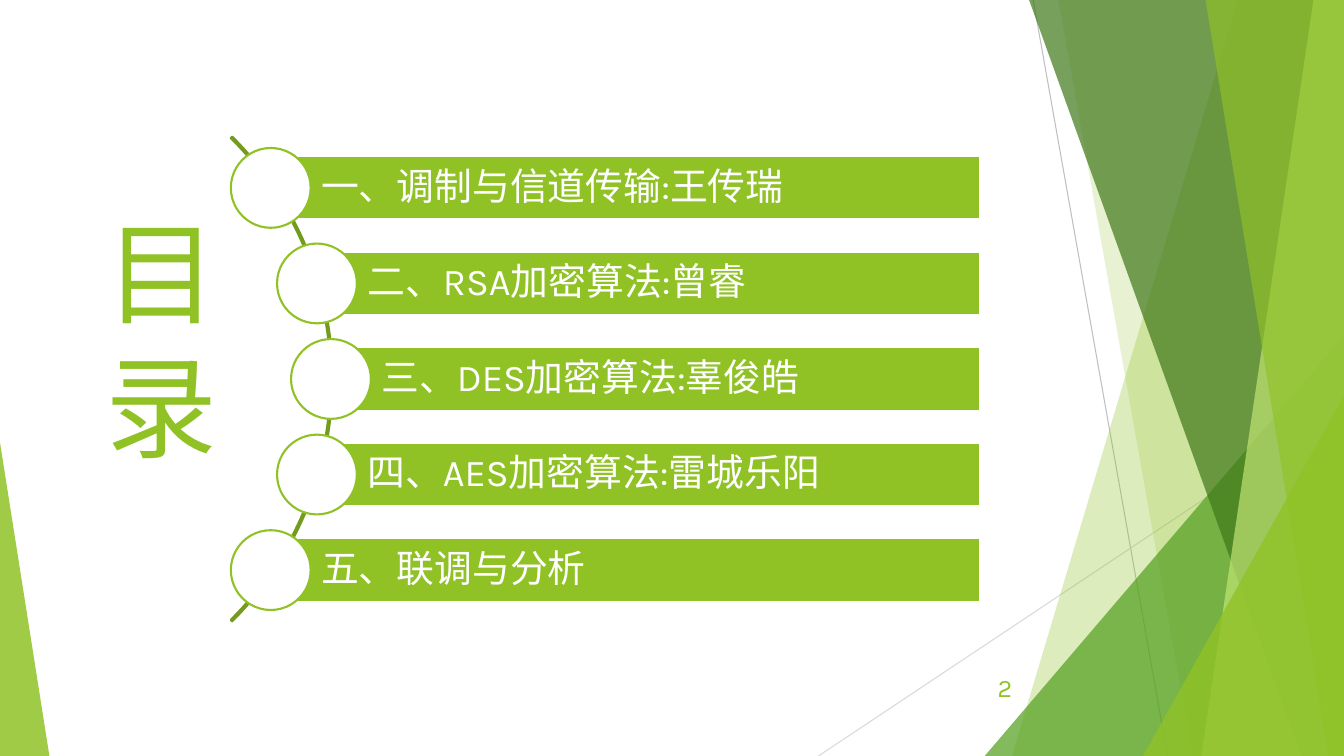
"""Build the contents slide: a curved list of five topics beside a faceted green edge."""
from lxml import etree
from pptx import Presentation
from pptx.dml.color import RGBColor
from pptx.enum.shapes import MSO_CONNECTOR, MSO_SHAPE as SHAPE
from pptx.enum.text import MSO_ANCHOR as ANCHOR, MSO_AUTO_SIZE as FIT, PP_ALIGN as ALIGN
from pptx.oxml.ns import qn
from pptx.util import Pt

WIDTH, HEIGHT = 960, 540
FONT, GREEN, WHITE = "Karla", "90C226", "FFFFFF"

TOPICS = [
    ("一、调制与信道传输:王传瑞", 193.4),
    ("二、RSA加密算法:曾睿", 226.4),
    ("三、DES加密算法:辜俊皓", 236.4),
    ("四、AES加密算法:雷城乐阳", 226.4),
    ("五、联调与分析", 193.4),
]
TITLE = ["目", "录"]
PAGE_NUMBER = ["2"]

RAYS = [((738, 0), (834, HEIGHT), "BFBFBF"), ((WIDTH, 290), (584.6, HEIGHT), "D9D9D9")]
BANDS = {
    "pale": (884.2, 722.9, GREEN, 30),
    "mist": (756, 851.8, GREEN, 20),
    "forest": (735.1, 929.5, "3F7819", 70),
    "lime": (938.2, 858.2, "C0E474", 70),
    "leaf": (861.1, 949, GREEN, 65),
}
PEAKS = {
    "meadow": (703.4, 239.8, 256.6, 1, "54A021", 72),
    "front": (816.5, 283, 143.5, 1, GREEN, 80),
    "left": (0, 316.1, 35.3, 0, GREEN, 85),
}
EDGE_ORDER = ["pale", "mist", "meadow", "forest", "lime", "leaf", "front", "left"]

ARC_BOX, ARC_ADJUST = (-252, 25.9, 489.6, 489.6), (189, 27, 0.003)
BAR_TOP, BAR_PITCH, BAR_HEIGHT, BAR_RIGHT = 111.6, 68.25, 45.2, 699.8
CIRCLE = 57
BAR_FRAME = {"margin_left": Pt(36), "margin_right": Pt(5), "margin_top": Pt(5),
             "margin_bottom": Pt(5), "vertical_anchor": ANCHOR.MIDDLE, "word_wrap": True}
TITLE_FRAME = {"word_wrap": False, "auto_size": FIT.SHAPE_TO_FIT_TEXT}
NUMBER_FRAME = {"word_wrap": True, "vertical_anchor": ANCHOR.MIDDLE}


def color(value):
    return RGBColor.from_string(value)


def paint(shape, fill=None, line=None, opacity=100):
    shape.shadow.inherit = False
    if fill:
        shape.fill.solid()
        shape.fill.fore_color.rgb = color(fill)
    else:
        shape.fill.background()
    if line:
        shape.line.color.rgb = color(line)
        shape.line.width = Pt(1.5)
    else:
        shape.line.fill.background()
    if opacity < 100:
        tint = shape.fill._xPr.find(qn("a:solidFill"))[0]
        etree.SubElement(tint, qn("a:alpha")).set("val", str(opacity * 1000))


def add_preset(page, kind, box, adjust=(), **look):
    shape = page.shapes.add_shape(kind, *map(Pt, box))
    for index, value in enumerate(adjust):
        shape.adjustments[index] = value
    paint(shape, **look)
    return shape


def write(shape, lines, size, ink, align, frame_format, spacing=1.0):
    frame = shape.text_frame
    for name, value in frame_format.items():
        setattr(frame, name, value)
    for index, line in enumerate(lines):
        para = frame.add_paragraph() if index else frame.paragraphs[0]
        para.alignment, para.line_spacing = align, spacing
        span = para.add_run()
        span.text = line
        span.font.name, span.font.size = FONT, Pt(size)
        span.font.color.rgb = color(ink)


def add_ray(page, start, end, ink):
    ray = page.shapes.add_connector(MSO_CONNECTOR.STRAIGHT, *map(Pt, start + end))
    ray.line.color.rgb = color(ink)
    ray.line.width = Pt(0.75)
    etree.SubElement(ray._element.spPr, qn("a:effectLst"))


def add_band(page, top_x, bottom_x, fill, opacity):
    builder = page.shapes.build_freeform(Pt(top_x), 0)
    corners = [(WIDTH, 0), (WIDTH, HEIGHT), (bottom_x, HEIGHT)]
    builder.add_line_segments([(Pt(x), Pt(y)) for x, y in corners], close=True)
    paint(builder.convert_to_shape(), fill, opacity=opacity)


def add_peak(page, left, top, width, tip, fill, opacity):
    add_preset(page, SHAPE.ISOSCELES_TRIANGLE, (left, top, width, HEIGHT - top),
               [tip], fill=fill, opacity=opacity)


def add_topic(page, row, text, left):
    top = BAR_TOP + row * BAR_PITCH
    bar = add_preset(page, SHAPE.RECTANGLE, (left, top, BAR_RIGHT - left, BAR_HEIGHT),
                     fill=GREEN, line=WHITE)
    write(bar, [text], 27, WHITE, ALIGN.LEFT, BAR_FRAME, 0.9)
    circle_top = top + (BAR_HEIGHT - CIRCLE) / 2
    add_preset(page, SHAPE.OVAL, (left - CIRCLE / 2, circle_top, CIRCLE, CIRCLE),
               fill=WHITE, line=GREEN)


def main():
    deck = Presentation()
    deck.slide_width, deck.slide_height = Pt(WIDTH), Pt(HEIGHT)
    page = deck.slides.add_slide(deck.slide_layouts[6])
    for ray in RAYS:
        add_ray(page, *ray)
    for name in EDGE_ORDER:
        if name in BANDS:
            add_band(page, *BANDS[name])
        else:
            add_peak(page, *PEAKS[name])
    add_preset(page, SHAPE.BLOCK_ARC, ARC_BOX, ARC_ADJUST, line="739B1E")
    for row, (text, left) in enumerate(TOPICS):
        add_topic(page, row, text, left)
    title = page.shapes.add_textbox(Pt(67.7), Pt(141.8), Pt(95), Pt(200.9))
    write(title, TITLE, 80, GREEN, ALIGN.CENTER, TITLE_FRAME)
    number = page.shapes.add_textbox(Pt(611.3), Pt(472.3), Pt(118.8), Pt(37.4))
    write(number, PAGE_NUMBER, 18, GREEN, ALIGN.RIGHT, NUMBER_FRAME)
    deck.save("out.pptx")


if __name__ == "__main__":
    main()
